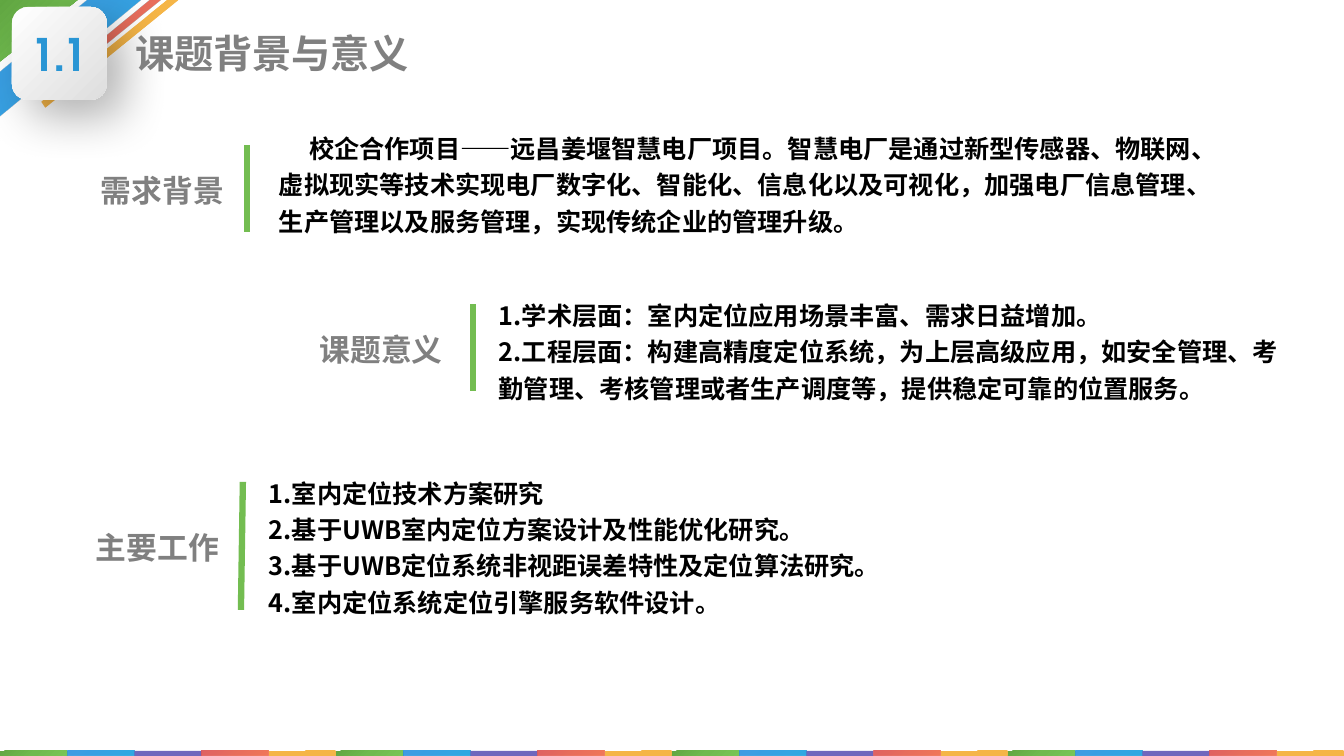
from lxml import etree
from pptx import Presentation
from pptx.dml.color import RGBColor
from pptx.enum import shapes, text
from pptx.oxml import ns
from pptx.util import Pt

CJK_FONT = "Noto Sans CJK SC"
BADGE_FONT = "TeX Gyre Adventor"

BLACK = RGBColor(0x00, 0x00, 0x00)
GREY = RGBColor(0x80, 0x80, 0x80)
BADGE_BLUE = RGBColor(0x29, 0x95, 0xD4)
BAR_GREEN = RGBColor(0x73, 0xBD, 0x51)
SILVER = [RGBColor(0xFF, 0xFF, 0xFF), RGBColor(0xDE, 0xDE, 0xDE)]
GREENS = [RGBColor(0x78, 0xC5, 0x56), RGBColor(0x70, 0xBA, 0x4E), RGBColor(0x61, 0xA7, 0x42)]
BLUES = [RGBColor(0x19, 0xA2, 0xDF), RGBColor(0x23, 0x99, 0xE0), RGBColor(0x2D, 0x91, 0xE0)]
PURPLE = [RGBColor(0x60, 0x57, 0xB6)]
REDS = [RGBColor(0xF0, 0x6A, 0x48), RGBColor(0xE6, 0x5F, 0x4D), RGBColor(0xDC, 0x51, 0x53)]
YELLOWS = [RGBColor(0xF5, 0xB6, 0x47), RGBColor(0xF5, 0xB5, 0x47), RGBColor(0xF5, 0xB5, 0x47)]

# Colours and opacity of the footer strip, in repeating order
STRIP = [(GREENS, 100), (BLUES, 90), (PURPLE, 90), (REDS, 90), (YELLOWS, 100)]

STRIPES = [
    ([(0, 83.5), (100.8, 0), (62.6, 0), (0, 51.8)], BLUES, 90),
    ([(51.8, 51.1), (115.2, 0), (107.3, 0), (49, 47.5)], REDS, 90),
    ([(32.4, 77), (127.4, 0), (119.5, 0), (29.5, 72.7)], YELLOWS, 100),
]

# Heading, heading box, bar ends, body box, first-line indent, paragraphs
SECTIONS = [
    ("需求背景", (61.9, 118.8, 105.1, 33.8), (176.4, 103.7, 176.4, 165.6),
     (192.2, 87.1, 679, 85.7), 21.5,
     ["校企合作项目——远昌姜堰智慧电厂项目。智慧电厂是通过新型传感器、物联网、"
      "虚拟现实等技术实现电厂数字化、智能化、信息化以及可视化，加强电厂信息管理、"
      "生产管理以及服务管理，实现传统企业的管理升级。"]),
    ("课题意义", (205.9, 232.6, 117.4, 33.8), (337.7, 217.4, 337.7, 279.4),
     (349.2, 206.6, 584.6, 85.7), 0,
     ["1.学术层面：室内定位应用场景丰富、需求日益增加。",
      "2.工程层面：构建高精度定位系统，为上层高级应用，如安全管理、"
      "考勤管理、考核管理或者生产调度等，提供稳定可靠的位置服务。"]),
    ("主要工作", (46.1, 374.4, 117.4, 33.8), (173.5, 344.2, 172.1, 435.6),
     (185, 333.4, 486.7, 112.3), 0,
     ["1.室内定位技术方案研究",
      "2.基于UWB室内定位方案设计及性能优化研究。",
      "3.基于UWB定位系统非视距误差特性及定位算法研究。",
      "4.室内定位系统定位引擎服务软件设计。"]),
]


def points(values):
    return [Pt(value) for value in values]


def set_format(target, **values):
    for name, value in values.items():
        setattr(target, name, value)


def add_xml(parent, tag, **attributes):
    return etree.SubElement(parent, ns.qn(tag), {k: str(v) for k, v in attributes.items()})


def add_colour(parent, colour, opacity):
    node = add_xml(parent, "a:srgbClr", val=colour)
    if opacity < 100:
        add_xml(node, "a:alpha", val=opacity * 1000)


def paint(shape, colours, opacity=100, angle=None):
    """Fill evenly spaced colours: linear with an angle, else from a corner."""
    shape.shadow.inherit = False
    shape.line.fill.background()
    shape.fill.solid()
    solid = shape.element.spPr.find(ns.qn("a:solidFill"))
    if len(colours) == 1:
        for child in list(solid):
            solid.remove(child)
        add_colour(solid, colours[0], opacity)
        return
    gradient = etree.Element(ns.qn("a:gradFill"), rotWithShape="1")
    stops = add_xml(gradient, "a:gsLst")
    for index, colour in enumerate(colours):
        position = 100000 * index // (len(colours) - 1)
        add_colour(add_xml(stops, "a:gs", pos=position), colour, opacity)
    if angle is None:
        circle = add_xml(gradient, "a:path", path="circle")
        add_xml(circle, "a:fillToRect", l=100000, t=100000)
    else:
        add_xml(gradient, "a:lin", ang=angle * 60000, scaled=0)
    solid.getparent().replace(solid, gradient)


def write(frame, lines, size, colour, font=CJK_FONT, align=text.PP_ALIGN.LEFT,
          spacing=None, indent=0):
    for index, line in enumerate(lines):
        paragraph = frame.add_paragraph() if index else frame.paragraphs[0]
        set_format(paragraph, alignment=align, line_spacing=spacing)
        if indent:
            paragraph._p.get_or_add_pPr().set("indent", str(Pt(indent)))
        run = paragraph.add_run()
        run.text = line
        set_format(run.font, size=Pt(size), bold=True, name=font)
        run.font.color.rgb = colour
        add_xml(run.font._element, "a:ea", typeface=font)


def add_text(slide, box, lines, size, colour, **options):
    frame = slide.shapes.add_textbox(*points(box)).text_frame
    frame.word_wrap = True
    write(frame, lines, size, colour, **options)


def add_bar(slide, ends):
    bar = slide.shapes.add_connector(shapes.MSO_CONNECTOR.STRAIGHT, *points(ends))
    bar.line.color.rgb = BAR_GREEN
    bar.line.width = Pt(4.5)
    add_xml(bar.element.spPr, "a:effectLst")


def add_stripe(slide, corners, colours, opacity):
    first, *rest = [points(corner) for corner in corners]
    builder = slide.shapes.build_freeform(*first)
    builder.add_line_segments(rest, close=True)
    paint(builder.convert_to_shape(), colours, opacity)


def add_corner(slide):
    triangle = slide.shapes.add_shape(
        shapes.MSO_SHAPE.RIGHT_TRIANGLE, *points((0, 0, 55.4, 43.9)))
    triangle.element.spPr.xfrm.set("flipV", "1")
    paint(triangle, GREENS)
    for stripe in STRIPES:
        add_stripe(slide, *stripe)


def add_badge(slide, number):
    badge = slide.shapes.add_shape(
        shapes.MSO_SHAPE.ROUNDED_RECTANGLE, *points((8.6, 5, 67.7, 66.3)))
    badge.adjustments[0] = 0.17
    paint(badge, SILVER, angle=45)
    effects = badge.element.spPr.find(ns.qn("a:effectLst"))
    shadow = add_xml(effects, "a:outerShdw", blurRad=Pt(34), dist=Pt(17),
                     dir=45 * 60000, algn="tl", rotWithShape=0)
    add_colour(shadow, BLACK, 30)
    set_format(badge.text_frame, word_wrap=False, vertical_anchor=text.MSO_ANCHOR.MIDDLE)
    write(badge.text_frame, [number], 32, BADGE_BLUE, BADGE_FONT, text.PP_ALIGN.CENTER)


def set_title(slide, title_text):
    """Place the title in front of the badge's shadow."""
    title = slide.shapes.title
    left, top, width, height = points((89.3, 17.3, 359.3, 41))
    set_format(title, left=left, top=top, width=width, height=height)
    set_format(title.text_frame, word_wrap=True, auto_size=text.MSO_AUTO_SIZE.NONE,
               vertical_anchor=text.MSO_ANCHOR.MIDDLE)
    write(title.text_frame, [title_text], 28, GREY)
    title.element.getparent().append(title.element)


def add_strip(slide, count=20, width=48):
    for index in range(count):
        block = slide.shapes.add_shape(
            shapes.MSO_SHAPE.RECTANGLE, *points((index * width, 536.4, width, 3.6)))
        paint(block, *STRIP[index % len(STRIP)])


def add_section(slide, heading, heading_box, bar_ends, body_box, indent, lines):
    add_bar(slide, bar_ends)
    add_text(slide, heading_box, [heading], 22, GREY, align=text.PP_ALIGN.RIGHT)
    add_text(slide, body_box, lines, 18, BLACK, spacing=Pt(26), indent=indent)


def main():
    presentation = Presentation()
    set_format(presentation, slide_width=Pt(960), slide_height=Pt(540))
    slide = presentation.slides.add_slide(presentation.slide_layouts[5])
    add_corner(slide)
    add_badge(slide, "1.1")
    set_title(slide, "课题背景与意义")
    add_strip(slide)
    for section in SECTIONS:
        add_section(slide, *section)
    presentation.save("out.pptx")


if __name__ == "__main__":
    main()
